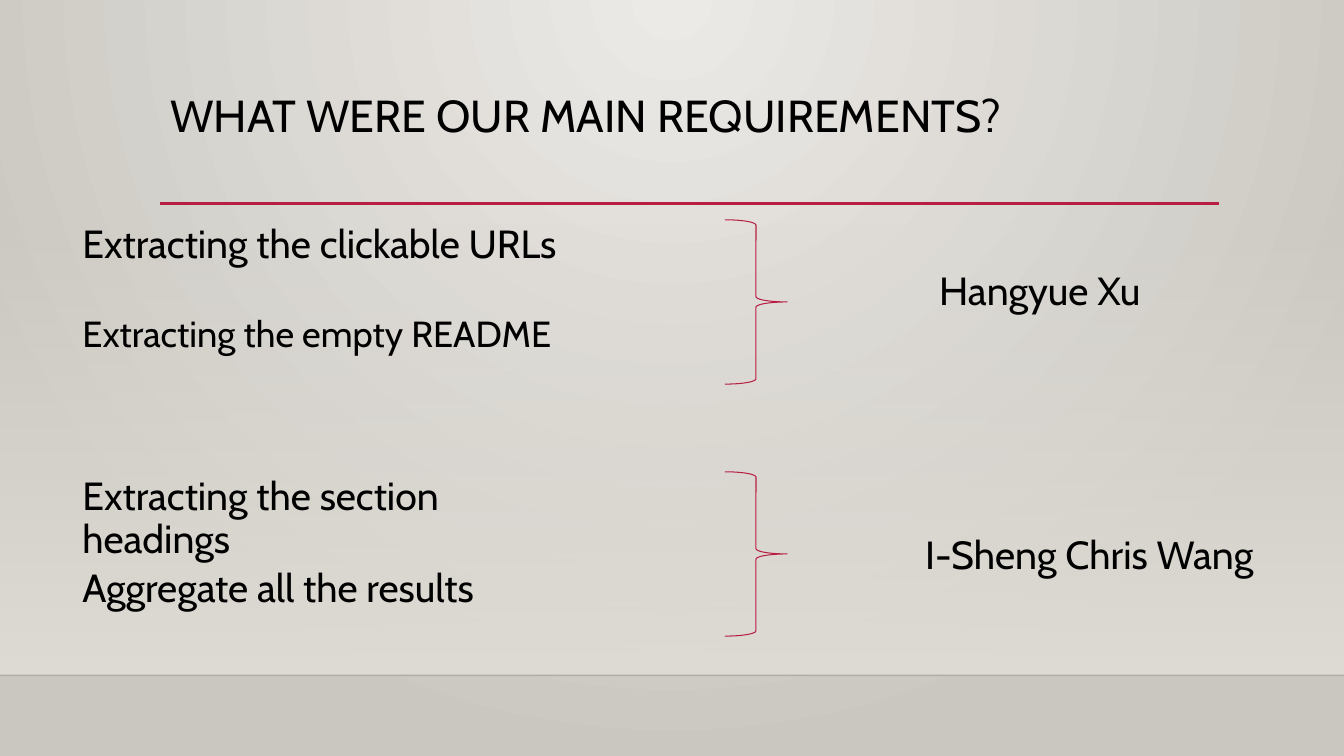
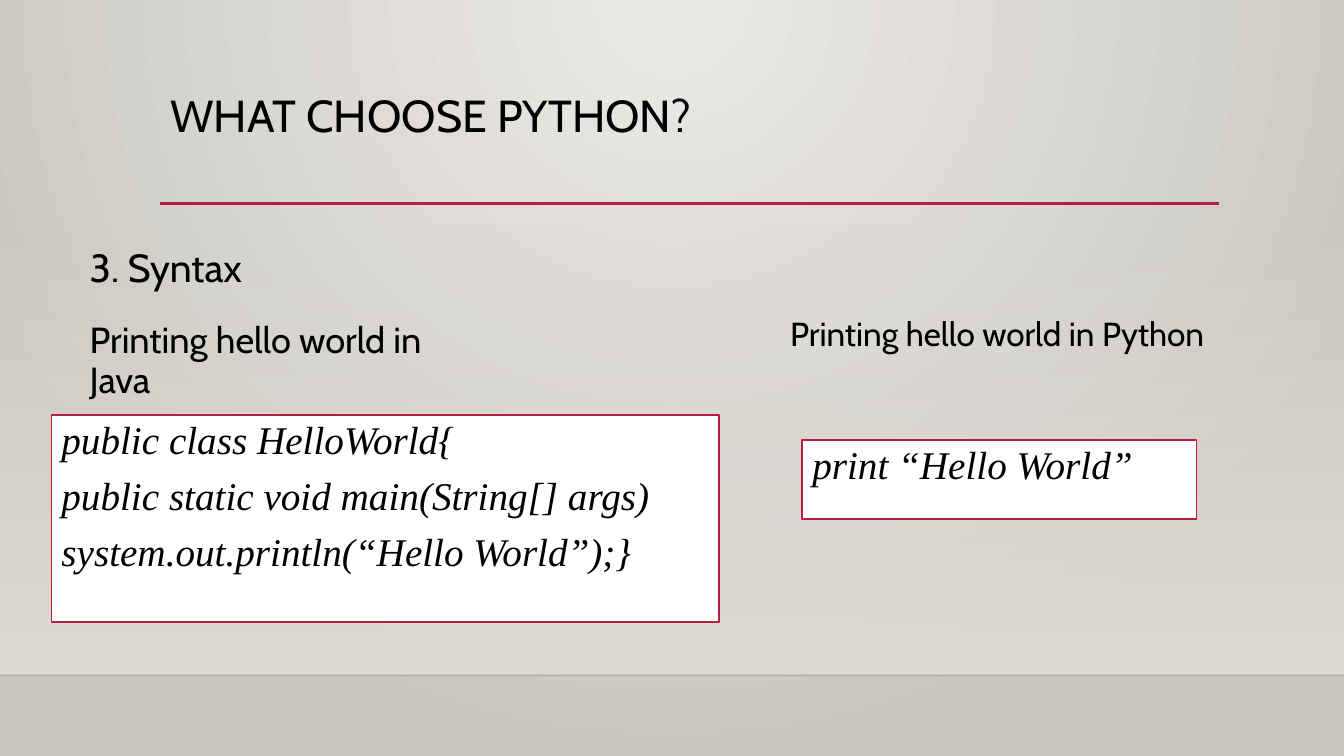
from dataclasses import dataclass
from typing import Any

from pptx import Presentation as Deck
from pptx.dml.color import RGBColor as Rgb
from pptx.enum.shapes import MSO_CONNECTOR as Link, MSO_SHAPE as Form
from pptx.enum.text import MSO_ANCHOR as Anchor, PP_ALIGN as Align
from pptx.oxml import parse_xml as to_xml
from pptx.oxml.ns import nsdecls as decls, qn
from pptx.util import Pt

WIDE, HIGH = 960, 540
RED, BLACK, WHITE = "B71E42", "000000", "FFFFFF"
SANS, SERIF = "Cabin", "Times New Roman"
FRAME = {"word_wrap": True, "vertical_anchor": Anchor.TOP}
FLOOR = 482.4
TITLE_LEFT, TITLE_TOP, TITLE_WIDE = 114.5, 63.4, 756


@dataclass
class Label:
    text: str
    left: float
    top: float
    wide: float
    size: float = 28
    lead: float = 0.9
    high: float = 41.8


@dataclass
class Code:
    lines: list[str]
    left: float
    top: float
    wide: float
    high: float


def color(code: str) -> Rgb:
    return Rgb.from_string(code)


def apply(thing: Any, values: dict[str, Any]) -> None:
    for name, value in values.items():
        setattr(thing, name, value)


def box(left: float, top: float, wide: float, high: float) -> list[Pt]:
    return [Pt(n) for n in (left, top, wide, high)]


def blend(root: Any, start: str, end: str, clear: bool, course: str) -> None:
    alpha = '<a:alpha val="0"/>' if clear else ""
    solid = root.find(".//" + qn("a:solidFill"))
    solid.getparent().replace(solid, to_xml(
        f'<a:gradFill {decls("a")} rotWithShape="1"><a:gsLst>'
        f'<a:gs pos="0"><a:srgbClr val="{start}">{alpha}</a:srgbClr></a:gs>'
        f'<a:gs pos="100000"><a:srgbClr val="{end}"/></a:gs>'
        f'</a:gsLst>{course}</a:gradFill>'))


def stroke(line: Any, code: str, width: float) -> None:
    line.color.rgb = color(code)
    line.width = Pt(width)


def rule(slide: Any, left: float, top: float, right: float,
         code: str, width: float) -> Any:
    line = slide.shapes.add_connector(
        Link.STRAIGHT, Pt(left), Pt(top), Pt(right), Pt(top))
    stroke(line.line, code, width)
    line._element.spPr.append(to_xml(f'<a:effectLst {decls("a")}/>'))
    return line


def write(shape: Any, lines: list[str], size: float, lead: float,
          face: str = SANS, slant: bool = False) -> None:
    frame = shape.text_frame
    apply(frame, FRAME)
    font = {"name": face, "size": Pt(size), "italic": slant}
    for i, text in enumerate(lines):
        para = frame.add_paragraph() if i else frame.paragraphs[0]
        apply(para, {"alignment": Align.LEFT, "line_spacing": lead,
                     "space_before": Pt(10 if i else 0)})
        run = para.add_run()
        run.text = text
        apply(run.font, font)
        run.font.color.rgb = color(BLACK)


def add_label(slide: Any, item: Label) -> None:
    shape = slide.shapes.add_textbox(
        *box(item.left, item.top, item.wide, item.high))
    write(shape, [item.text], item.size, item.lead)


def add_code(slide: Any, item: Code) -> None:
    shape = slide.shapes.add_shape(
        Form.RECTANGLE, *box(item.left, item.top, item.wide, item.high))
    shape.shadow.inherit = False
    shape.fill.solid()
    shape.fill.fore_color.rgb = color(WHITE)
    stroke(shape.line, RED, 1.25)
    write(shape, item.lines, 28, 0.9, SERIF, True)


def add_brace(slide: Any, top: float) -> None:
    shape = slide.shapes.add_shape(
        Form.RIGHT_BRACE, *box(517.7, top, 44.6, 117.4))
    shape.shadow.inherit = False
    shape.fill.background()
    stroke(shape.line, RED, 0.75)


def add_page(deck: Any, title: str) -> Any:
    slide = deck.slides.add_slide(deck.slide_layouts[6])
    slide.background.fill.solid()
    blend(slide._element, "ECEAE7", "CAC7C1", False,
          '<a:path path="circle"><a:fillToRect l="43000" t="0" '
          'r="43000" b="100000"/></a:path>')
    wall = slide.shapes.add_shape(
        Form.RECTANGLE, *box(0, 159, WIDE, FLOOR - 159))
    wall.shadow.inherit = False
    wall.fill.solid()
    blend(wall._element, "DFDBD5", "DFDBD5", True,
          '<a:lin ang="5400000" scaled="0"/>')
    wall.line.fill.background()
    edge = rule(slide, 0, FLOOR, WIDE, "000001", 1)
    edge._element.find(".//" + qn("a:srgbClr")).append(
        to_xml(f'<a:alpha {decls("a")} val="20000"/>'))
    rule(slide, TITLE_LEFT, 145.4, 871, RED, 2.5)
    add_label(slide, Label(
        title, TITLE_LEFT, TITLE_TOP, TITLE_WIDE, 32, high=82.8))
    return slide


def add_needs(deck: Any) -> None:
    slide = add_page(deck, "WHAT WERE OUR MAIN REQUIREMENTS?")
    groups = [
        [("Extracting the clickable URLs", 28),
         ("Extracting the empty README", 25.9)],
        [("Extracting the section headings", 28),
         ("Aggregate all the results", 28)],
    ]
    for i, group in enumerate(groups):
        top = 157 + 180 * i
        add_brace(slide, top)
        for j, (text, size) in enumerate(group):
            add_label(slide, Label(text, 51.8, top + 65.5 * j, 358, size))
    add_label(slide, Label("Hangyue Xu", 663.8, 180, 206.6, lead=1.2))
    add_label(slide, Label("I-Sheng Chris Wang", 653.8, 378.7, 283.7))


def add_syntax(deck: Any) -> None:
    slide = add_page(deck, "WHAT CHOOSE PYTHON?")
    for item in (
        Label("3. Syntax", 57, 163.5, 232.6, lead=1.2, high=50.4),
        Label("Printing hello world in Java", 57, 226.8, 299.5, 25.9),
        Label("Printing hello world in Python",
              557.3, 226, 313.2, 23.8, 0.8),
    ):
        add_label(slide, item)
    for item in (
        Code(["public class HelloWorld{",
              "public static void main(String[] args)",
              "system.out.println(“Hello World”);}"],
             36.8, 296.6, 476.6, 147.6),
        Code(["print “Hello World”"], 573.1, 314.5, 281.5, 56),
    ):
        add_code(slide, item)


def main() -> None:
    deck = Deck()
    apply(deck, {"slide_width": Pt(WIDE), "slide_height": Pt(HIGH)})
    add_needs(deck)
    add_syntax(deck)
    deck.save("out.pptx")


if __name__ == "__main__":
    main()
